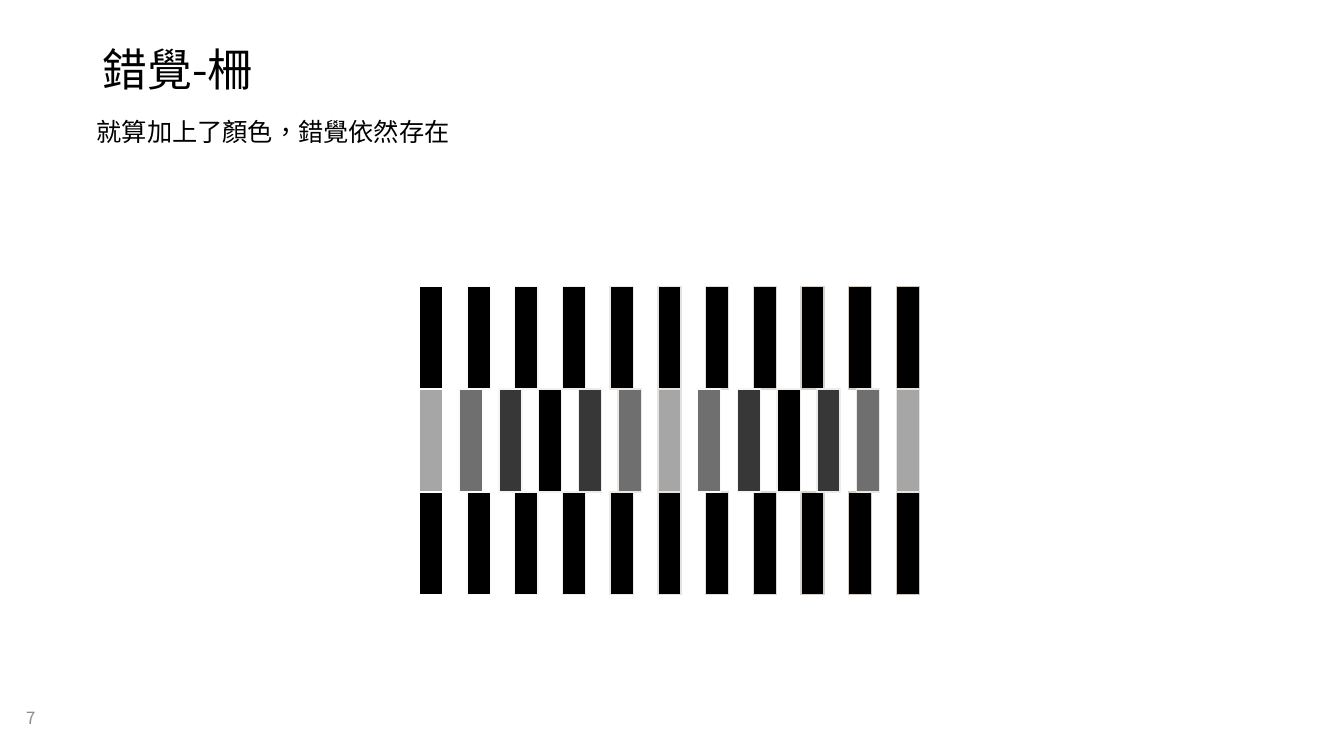
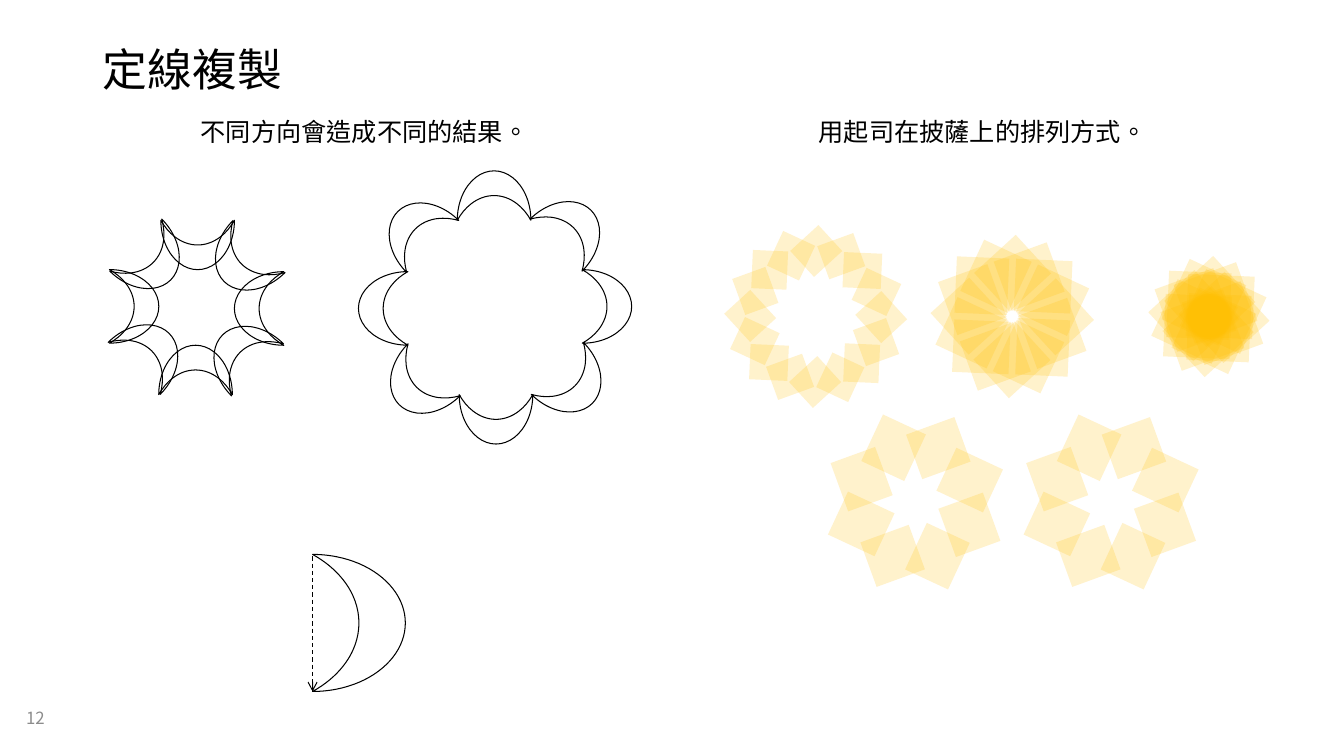
from dataclasses import dataclass
from math import cos, radians, sin

from lxml import etree
from pptx import Presentation
from pptx.dml.color import RGBColor
from pptx.enum.dml import MSO_LINE
from pptx.enum.shapes import MSO_CONNECTOR, MSO_SHAPE
from pptx.enum.text import MSO_ANCHOR, PP_ALIGN
from pptx.oxml.ns import qn
from pptx.shapes.autoshape import Shape
from pptx.slide import Slide
from pptx.util import Inches, Pt

RECT, MOON = MSO_SHAPE.RECTANGLE, MSO_SHAPE.MOON
STRAIGHT, DASH = MSO_CONNECTOR.STRAIGHT, MSO_LINE.DASH
TOP, MIDDLE = MSO_ANCHOR.TOP, MSO_ANCHOR.MIDDLE
LEFT, CENTER = PP_ALIGN.LEFT, PP_ALIGN.CENTER


@dataclass(frozen=True)
class Theme:
    ink: str = "000000"
    paper: str = "FFFFFF"
    muted: str = "8C8C8C"
    cheese: str = "FFC000"
    alpha: int = 20
    grays: tuple[str, ...] = ("A6A6A6", "6F6F6F", "373737", "000000", "373737", "6F6F6F")
    outer: str = "CDC6BF"
    inner: str = "E6E2DF"
    sans: str = "Noto Sans CJK SC"
    serif: str = "Times New Roman"
    title: float = 32
    body: float = 18
    small: float = 12
    thin: float = 0.75
    edge: float = 1


THEME = Theme()


@dataclass(frozen=True)
class Box:
    left: float
    top: float
    width: float
    height: float


@dataclass(frozen=True)
class Style:
    size: float
    font: str = THEME.sans
    color: str = THEME.ink
    align: PP_ALIGN = LEFT
    anchor: MSO_ANCHOR = MIDDLE
    space: float = 1.0


TITLE = Style(THEME.title, space=0.9)
NUMBER = Style(THEME.small, color=THEME.muted)
BODY = Style(THEME.body, THEME.serif, anchor=TOP)
CAPTION = Style(THEME.body, THEME.serif, align=CENTER, anchor=TOP)


@dataclass(frozen=True)
class Row:
    top: float
    count: int
    fills: tuple[str, ...]
    shade: str
    cycle: int


ROWS = (
    Row(2.84, 11, (THEME.ink,), THEME.outer, 10),
    Row(4.88, 11, (THEME.ink,), THEME.outer, 10),
    Row(3.86, 13, THEME.grays, THEME.inner, 6),
)
BAR = Box(4.16, 0, 0.23, 1.02)
SPAN = 4.73


@dataclass(frozen=True)
class Ring:
    x: float
    y: float
    radius: float
    count: int
    width: float
    height: float
    start: float
    lead: float


MOONS = (
    Ring(1.95, 3.05, 0.62, 8, 0.49, 0.73, 180, 1),
    Ring(4.91, 3.05, 1.11, 8, 0.49, 0.73, 180, 179.5),
)
CHEESE = (
    Ring(8.09, 3.14, 0.65, 16, 0.38, 0.35, 2.5, -47),
    Ring(10.04, 3.14, 0.43, 16, 0.56, 0.52, 2.5, -47),
    Ring(11.99, 3.14, 0.15, 16, 0.66, 0.62, 2.5, -44),
    Ring(9.08, 4.98, 0.58, 8, 0.51, 0.47, 25, -47),
    Ring(11.02, 4.98, 0.58, 8, 0.51, 0.47, 25, -47),
)


def rgb(color: str) -> RGBColor:
    return RGBColor.from_string(color)


def place(box: Box) -> tuple[int, ...]:
    return tuple(Inches(n) for n in (box.left, box.top, box.width, box.height))


def write(slide: Slide, box: Box, text: str, style: Style) -> None:
    frame = slide.shapes.add_textbox(*place(box)).text_frame
    frame.word_wrap = True
    frame.vertical_anchor = style.anchor
    para = frame.paragraphs[0]
    para.text = text
    para.alignment = style.align
    para.line_spacing = style.space
    font = para.font
    font.size = Pt(style.size)
    font.name = style.font
    font.color.rgb = rgb(style.color)
    props = para._p.pPr.find(qn("a:defRPr"))
    props.set("lang", "zh-TW")
    latin = props.find(qn("a:latin"))
    east = etree.Element(qn("a:ea"), typeface=THEME.sans)
    latin.addnext(east)


def start(deck: Presentation, title: str, number: int) -> Slide:
    slide = deck.slides.add_slide(deck.slide_layouts[6])
    slide.background.fill.solid()
    slide.background.fill.fore_color.rgb = rgb(THEME.paper)
    write(slide, Box(0.92, 0.4, 11.5, 0.62), title, TITLE)
    write(slide, Box(0.16, 6.93, 0.67, 0.39), str(number), NUMBER)
    return slide


def paint(slide: Slide, kind: MSO_SHAPE, box: Box, fill: str | None,
          line: str | None, weight: float = THEME.thin) -> Shape:
    shape = slide.shapes.add_shape(kind, *place(box))
    shape.shadow.inherit = False
    if fill:
        shape.fill.solid()
        shape.fill.fore_color.rgb = rgb(fill)
    else:
        shape.fill.background()
    if line:
        shape.line.color.rgb = rgb(line)
        shape.line.width = Pt(weight)
    else:
        shape.line.fill.background()
    return shape


def blend(first: str, last: str, part: float) -> str:
    pairs = zip(bytes.fromhex(first), bytes.fromhex(last))
    return "".join(f"{round(a + (b - a) * part):02X}" for a, b in pairs)


def bars(slide: Slide, row: Row) -> None:
    step = SPAN / (row.count - 1)
    for i in range(row.count):
        part = ((i - 1) % row.cycle + 1) / row.cycle if i else 0
        box = Box(BAR.left + i * step, row.top, BAR.width, BAR.height)
        edge = blend(THEME.paper, row.shade, part)
        paint(slide, RECT, box, row.fills[i % len(row.fills)], edge, THEME.edge)


def moon(slide: Slide, box: Box, turn: float) -> None:
    shape = paint(slide, MOON, box, None, THEME.ink)
    shape.adjustments[0] = 0.5
    shape.rotation = turn


def slice(slide: Slide, box: Box, turn: float) -> None:
    shape = paint(slide, RECT, box, THEME.cheese, None)
    shape.rotation = turn
    color = shape._element.spPr.find(qn("a:solidFill"))[0]
    etree.SubElement(color, qn("a:alpha"), val=str(THEME.alpha * 1000))


def spots(ring: Ring) -> list[tuple[Box, float]]:
    found = []
    for i in range(ring.count):
        turn = (ring.start + i * 360 / ring.count) % 360
        angle = radians(turn + ring.lead)
        left = ring.x + ring.radius * cos(angle) - ring.width / 2
        top = ring.y + ring.radius * sin(angle) - ring.height / 2
        found.append((Box(left, top, ring.width, ring.height), turn))
    return found


def arrow(slide: Slide, x: float, top: float, end: float) -> None:
    line = slide.shapes.add_connector(
        STRAIGHT, Inches(x), Inches(top), Inches(x), Inches(end))
    line.line.color.rgb = rgb(THEME.ink)
    line.line.width = Pt(THEME.thin)
    line.line.dash_style = DASH
    etree.SubElement(line.line._get_or_add_ln(), qn("a:tailEnd"), type="arrow")
    etree.SubElement(line._element.spPr, qn("a:effectLst"))


def fence(deck: Presentation) -> None:
    slide = start(deck, "錯覺-柵", 7)
    write(slide, Box(0.86, 1.1, 11.49, 0.4), "就算加上了顏色，錯覺依然存在", BODY)
    for row in ROWS:
        bars(slide, row)


def rings(deck: Presentation) -> None:
    slide = start(deck, "定線複製", 12)
    write(slide, Box(0.86, 1.1, 5.51, 0.4), "不同方向會造成不同的結果。", CAPTION)
    moon(slide, Box(3.1, 5.5, 0.92, 1.36), 180)
    arrow(slide, 3.1, 5.52, 6.86)
    write(slide, Box(6.99, 1.1, 5.51, 0.4), "用起司在披薩上的排列方式。", CAPTION)
    for group, draw in ((MOONS, moon), (CHEESE, slice)):
        for ring in group:
            for box, turn in spots(ring):
                draw(slide, box, turn)


def main() -> None:
    deck = Presentation()
    deck.slide_width, deck.slide_height = Inches(13.33), Inches(7.5)
    fence(deck)
    rings(deck)
    deck.save("out.pptx")


if __name__ == "__main__":
    main()
